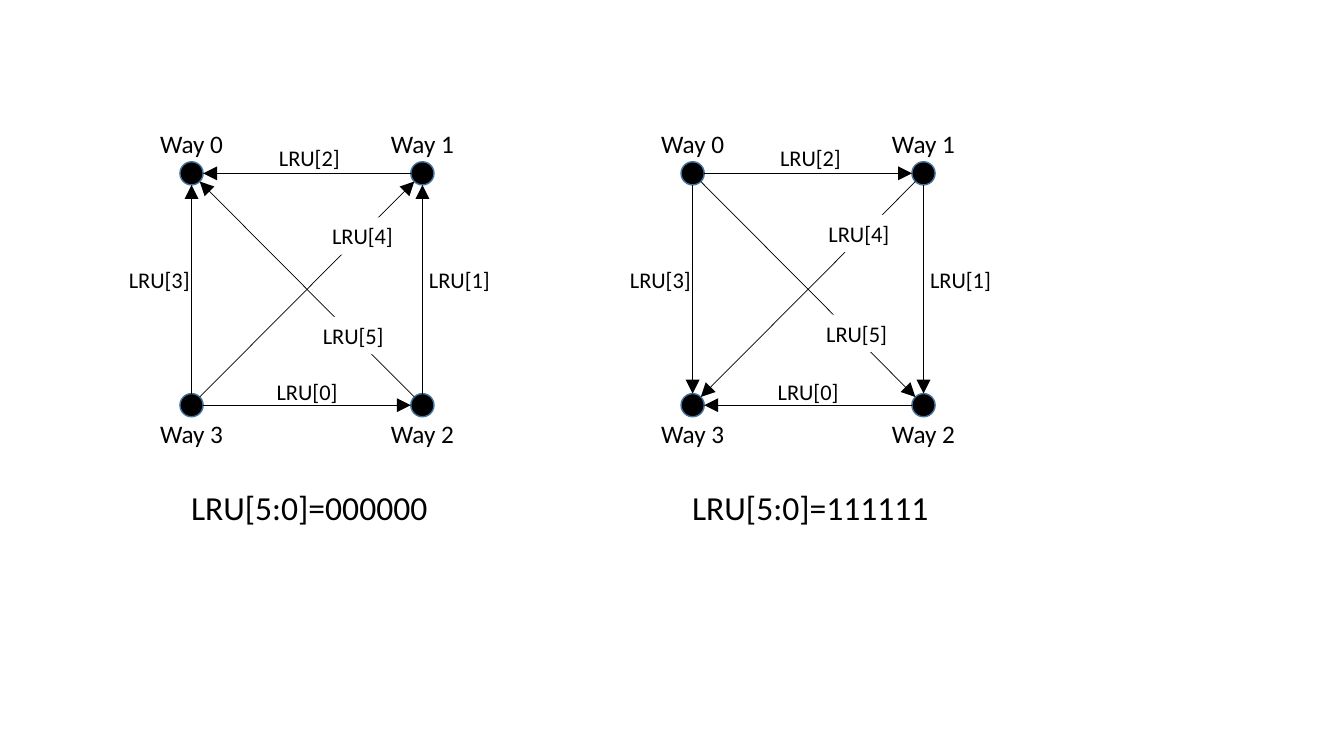
from math import hypot

from lxml.etree import SubElement
from pptx import Presentation
from pptx.dml.color import RGBColor
from pptx.enum.shapes import MSO_CONNECTOR as Link, MSO_SHAPE as Form
from pptx.enum.text import MSO_ANCHOR as Anchor, PP_ALIGN as Align
from pptx.oxml.ns import qn
from pptx.util import Inches, Pt

BLACK, WHITE, BLUE = "000000", "FFFFFF", "43739E"
RADIUS = 0.115

# Text styles: font size in points, box width and height in inches
STYLES = {"way": (18, 0.83, 0.4), "bit": (16, 0.81, 0.37), "state": (24, 2.57, 0.5)}

# Corners of the square, as shares of its box, in order of way number
WAYS = [(0, 0), (1, 0), (1, 1), (0, 1)]

# Way pairs of each edge, pointing as they do when the bit is 0
EDGES = [(1, 0), (2, 0), (3, 0), (3, 1), (2, 1), (3, 2)]

# Centres of the bit labels on the sides, as shares of the box
SIDES = {2: (0.51, -0.07), 1: (1.16, 0.46), 0: (0.5, 0.94), 3: (-0.14, 0.46)}

GRAPHS = [
    {"left": 1.9, "bit": 0, "cross": {5: (0.7, 0.7), 4: (0.74, 0.27)}},
    {"left": 6.87, "bit": 1, "cross": {5: (0.71, 0.69), 4: (0.72, 0.26)}},
]
TOP, WIDTH, HEIGHT = 1.72, 2.29, 2.3


def color(code):
    return RGBColor.from_string(code)


def fill(shape, code):
    shape.fill.solid()
    shape.fill.fore_color.rgb = color(code)


def dot(slide, x, y):
    shape = slide.shapes.add_shape(
        Form.OVAL, Inches(x - RADIUS), Inches(y - RADIUS),
        Inches(2 * RADIUS), Inches(2 * RADIUS))
    shape.shadow.inherit = False
    fill(shape, BLACK)
    shape.line.color.rgb = color(BLUE)
    shape.line.width = Pt(1)


def arrow(slide, start, end):
    """Join two dots rim to rim, with the head at the end."""
    (x1, y1), (x2, y2) = start, end
    span = hypot(x2 - x1, y2 - y1)
    dx, dy = (x2 - x1) * RADIUS / span, (y2 - y1) * RADIUS / span
    ends = (x1 + dx, y1 + dy, x2 - dx, y2 - dy)
    line = slide.shapes.add_connector(Link.STRAIGHT, *map(Inches, ends))
    line.line.color.rgb = color(BLACK)
    line.line.width = Pt(0.5)
    SubElement(line.line._get_or_add_ln(), qn("a:tailEnd"),
               type="triangle", w="lg", len="lg")
    SubElement(line._element.spPr, qn("a:effectLst"))


def label(slide, text, style, x, y, back=None):
    """Centre a line of text on a point."""
    size, width, height = STYLES[style]
    box = slide.shapes.add_textbox(
        Inches(x - width / 2), Inches(y - height / 2), Inches(width), Inches(height))
    if back:
        fill(box, back)
    frame = box.text_frame
    frame.word_wrap = False
    frame.vertical_anchor = Anchor.MIDDLE
    para = frame.paragraphs[0]
    para.text = text
    para.alignment = Align.CENTER
    for name, value in {"name": "Calibri", "size": Pt(size)}.items():
        setattr(para.font, name, value)
    para.font.color.rgb = color(BLACK)


def graph(slide, left, top, width, height, bit, cross):
    """Draw the four ways, the six order bits and the state below."""
    def at(share):
        return left + share[0] * width, top + share[1] * height

    for way in WAYS:
        dot(slide, *at(way))
    for edge in EDGES:
        first, last = reversed(edge) if bit else edge
        arrow(slide, at(WAYS[first]), at(WAYS[last]))
    for i, (col, row) in enumerate(WAYS):
        label(slide, f"Way {i}", "way", *at((col, 1.12 if row else -0.13)))
    label(slide, f"LRU[5:0]={str(bit) * 6}", "state", *at((0.51, 1.44)))
    for spots, back in ((SIDES, None), (cross, WHITE)):
        for i, spot in spots.items():
            label(slide, f"LRU[{i}]", "bit", *at(spot), back)


def main():
    deck = Presentation()
    deck.slide_width, deck.slide_height = Inches(13.33), Inches(7.5)
    slide = deck.slides.add_slide(deck.slide_layouts[6])
    for item in GRAPHS:
        graph(slide, top=TOP, width=WIDTH, height=HEIGHT, **item)
    deck.save("out.pptx")


if __name__ == "__main__":
    main()
